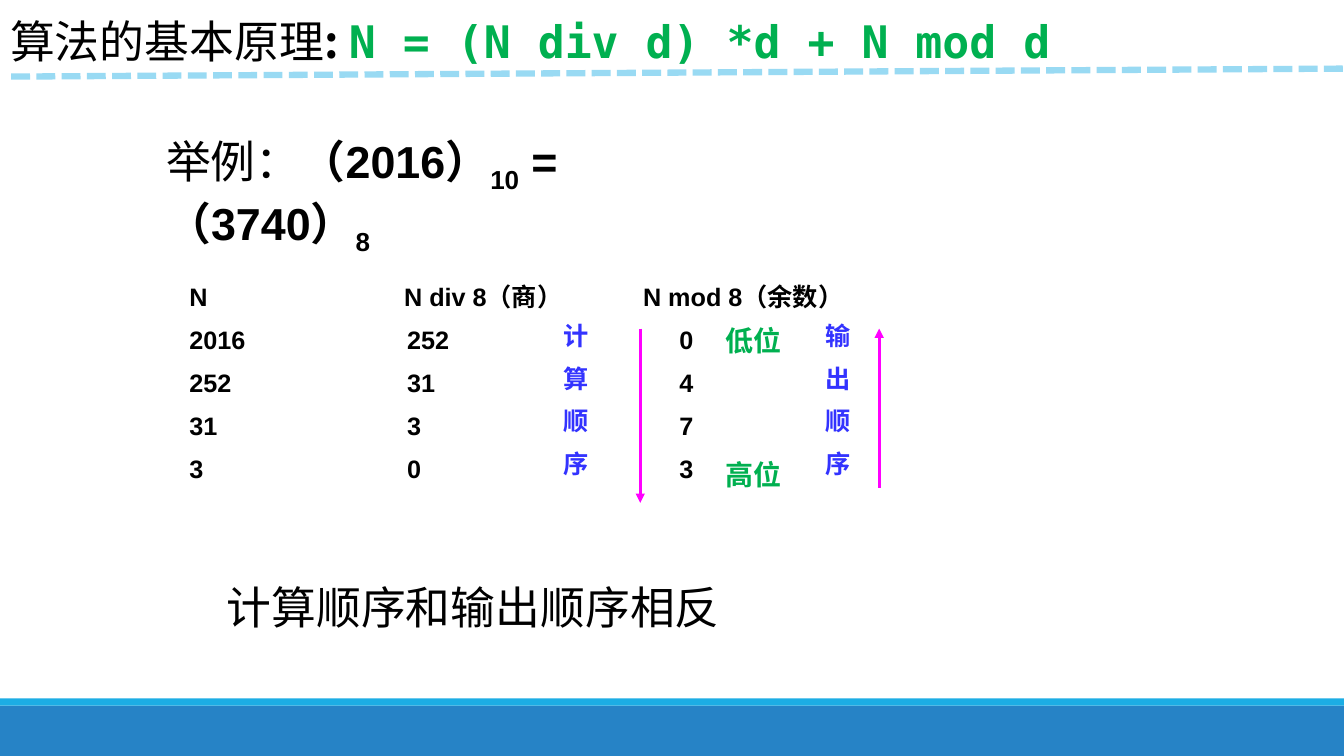
import pptx
import pptx.util
import pptx.dml.color
import pptx.enum.dml
import pptx.enum.shapes
import pptx.enum.text
import pptx.oxml.ns
import lxml.etree

Inches = pptx.util.Inches
Pt = pptx.util.Pt
CJK = "Noto Sans CJK SC"
BLACK, GREEN, BLUE, MAGENTA = "000000", "00B050", "3333FF", "FF00FF"
ROW_PITCH = 30.6


def color(value):
    """Return an RGB colour from a hex string."""
    return pptx.dml.color.RGBColor.from_string(value)


def add_element(parent, tag, **attributes):
    """Append a DrawingML element to a parent."""
    return lxml.etree.SubElement(parent, pptx.oxml.ns.qn(tag), attributes)


def add_span(para, text, size, font=CJK, fill=BLACK, bold=False, baseline=0):
    """Add one formatted run to a paragraph."""
    span = para.add_run()
    span.text = text
    span.font.size = Pt(size)
    span.font.bold = bold
    span.font.color.rgb = color(fill)
    span.font.name = font
    properties = span.font._element
    add_element(properties, "a:ea", typeface=CJK)
    if baseline:
        properties.set("baseline", str(baseline * 1000))


def format_frame(box, anchor=pptx.enum.text.MSO_ANCHOR.TOP):
    """Set wrapping and anchoring and return the text frame."""
    frame = box.text_frame
    frame.word_wrap = True
    frame.auto_size = pptx.enum.text.MSO_AUTO_SIZE.NONE
    frame.vertical_anchor = anchor
    return frame


def start_para(frame, index, pitch):
    """Return a left-aligned paragraph with a fixed line pitch."""
    para = frame.add_paragraph() if index else frame.paragraphs[0]
    para.alignment = pptx.enum.text.PP_ALIGN.LEFT
    para.line_spacing = Pt(pitch)
    para.space_before = Pt(0)
    return para


def add_text(slide, left, top, width, height, lines, pitch, tabs=()):
    """Add a text box whose lines are lists of spans, with optional tab stops."""
    box = slide.shapes.add_textbox(Inches(left), Inches(top), Inches(width), Inches(height))
    frame = format_frame(box)
    for index, spans in enumerate(lines):
        para = start_para(frame, index, pitch)
        if tabs:
            stops = add_element(para._p.get_or_add_pPr(), "a:tabLst")
            for stop in tabs[min(index, len(tabs) - 1)]:
                add_element(stops, "a:tab", pos=str(Inches(stop)), algn="l")
        for text, style in spans:
            add_span(para, text, **style)


def add_bar(slide, top, height, fill):
    """Add a full-width footer bar."""
    bar = slide.shapes.add_shape(pptx.enum.shapes.MSO_SHAPE.RECTANGLE, 0,
                                 Inches(top), Inches(13.33), Inches(height))
    bar.shadow.inherit = False
    bar.fill.solid()
    bar.fill.fore_color.rgb = color(fill)
    bar.line.fill.background()


def add_line(slide, start, end, fill, width, arrow=False, dash=None):
    """Add a straight line, optionally dashed or with an arrowhead."""
    line = slide.shapes.add_connector(pptx.enum.shapes.MSO_CONNECTOR.STRAIGHT,
                                      *(Inches(value) for value in start + end))
    line.line.color.rgb = color(fill)
    line.line.width = Pt(width)
    if dash:
        line.line.dash_style = dash
    if arrow:
        add_element(line.line._get_or_add_ln(), "a:tailEnd", type="triangle")
    add_element(line._element.spPr, "a:effectLst")


def add_title(slide):
    """Fill and place the title."""
    title = slide.shapes.title
    title.left, title.top = Inches(0), Inches(0.01)
    title.width, title.height = Inches(12.99), Inches(0.71)
    para = start_para(format_frame(title), 0, 44)
    add_span(para, "算法的基本原理", 32)
    add_span(para, ": ", 32, bold=True)
    add_span(para, "N = (N div d) *d + N mod d", 32, "DejaVu Sans Mono", GREEN, True)


def add_example(slide):
    """Add the base conversion example."""
    plain = dict(size=32)
    strong = dict(size=32, font="Arial", bold=True)
    subscript = dict(strong, baseline=-25)
    spans = [("举例", plain), ("：", dict(size=32, font="Comic Neue")),
             ("（2016）", strong), ("10", subscript),
             (" = （3740）", strong), ("8", subscript)]
    add_text(slide, 1.55, 1.27, 5.5, 1.33, [spans], 44.3)


def add_division_steps(slide):
    """Add the columns of numbers, quotients and remainders."""
    rows = [("N", "N div 8（商）", "N mod 8（余数）"), ("2016", "252", "0"),
            ("252", "31", "4"), ("31", "3", "7"), ("3", "0", "3")]
    style = dict(size=18, font="Arial", bold=True)
    lines = [[("\t".join(row), style)] for row in rows]
    add_text(slide, 1.78, 2.62, 6.93, 2.25, lines, ROW_PITCH,
             [(2.13, 4.5), (2.16, 4.86)])


def main():
    """Build the slide and save the deck."""
    deck = pptx.Presentation()
    deck.slide_width, deck.slide_height = Inches(13.33), Inches(7.5)
    slide = deck.slides.add_slide(deck.slide_layouts[5])
    add_bar(slide, 7, 0.5, "2683C6")
    add_bar(slide, 6.93, 0.07, "1CADE4")
    add_title(slide)
    add_line(slide, (0.11, 0.76), (13.45, 0.68), "99DAF3", 4.5,
             dash=pptx.enum.dml.MSO_LINE.SQUARE_DOT)
    add_example(slide)
    add_division_steps(slide)
    order = dict(size=18, font="Arial", fill=BLUE, bold=True)
    for left, label in ((5.49, "计算顺序"), (8.09, "输出顺序")):
        add_text(slide, left, 3, 0.65, 1.8, [[(sign, order)] for sign in label], ROW_PITCH)
    digit = dict(size=20, font="Arial", fill=GREEN, bold=True)
    for top, label in ((3.08, "低位"), (4.41, "高位")):
        add_text(slide, 7.1, top, 0.87, 0.52, [[(label, digit)]], 30)
    add_line(slide, (6.35, 3.26), (6.35, 4.99), MAGENTA, 2.25, arrow=True)
    add_line(slide, (8.72, 4.84), (8.72, 3.26), MAGENTA, 2.25, arrow=True)
    add_text(slide, 2.15, 5.62, 5.34, 0.71, [[("计算顺序和输出顺序相反", dict(size=32))]], 44)
    deck.save("out.pptx")


if __name__ == "__main__":
    main()
